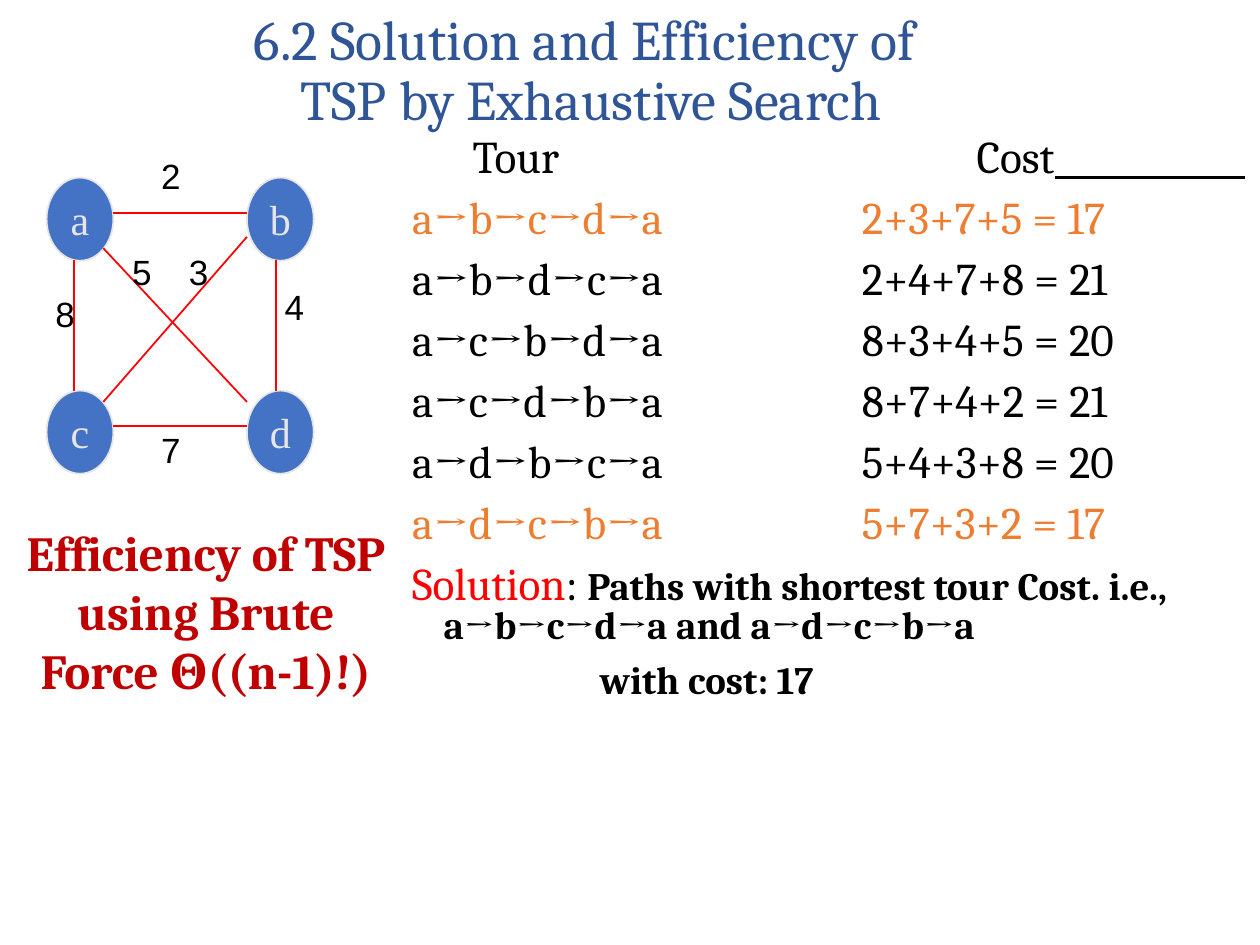
import pptx
import pptx.util
import pptx.dml.color
import pptx.enum.shapes
import pptx.enum.text
import pptx.oxml.ns
import lxml.etree

Inches = pptx.util.Inches
CENTER = pptx.enum.text.PP_ALIGN.CENTER
MIDDLE = pptx.enum.text.MSO_ANCHOR.MIDDLE
NO_FIT = pptx.enum.text.MSO_AUTO_SIZE.NONE

BLACK, RED, ORANGE = "000000", "FF0000", "ED7D31"
NODE_W, NODE_H = 0.53, 0.66
NODES = ["ab", "cd"]
NODE_X, NODE_Y = [0.37, 1.96], [1.41, 3.1]
EDGES = [
    (0.9, 1.69, 1.96, 1.69),
    (0.59, 2.06, 0.59, 3.1),
    (0.9, 3.38, 1.96, 3.38),
    (2.19, 2.06, 2.19, 3.1),
    (0.82, 1.97, 1.96, 3.19),
    (1.96, 1.88, 0.82, 3.19),
]
WEIGHTS = [
    ("8", 0.34, 2.27), ("2", 1.18, 1.18), ("7", 1.18, 3.35),
    ("5", 0.95, 1.94), ("3", 1.4, 1.94), ("4", 2.16, 2.22),
]
TOURS = [
    ("a→b→c→d→a", "2+3+7+5 = 17", ORANGE),
    ("a→b→d→c→a", "2+4+7+8 = 21", BLACK),
    ("a→c→b→d→a", "8+3+4+5 = 20", BLACK),
    ("a→c→d→b→a", "8+7+4+2 = 21", BLACK),
    ("a→d→b→c→a", "5+4+3+8 = 20", BLACK),
    ("a→d→c→b→a", "5+7+3+2 = 17", ORANGE),
]


def rgb(color):
    return pptx.dml.color.RGBColor.from_string(color)


def add_text(p, text, size=25.9, font="Cambria", color=BLACK, bold=False):
    """Add runs to a paragraph; a newline becomes a line break."""
    for i, line in enumerate(text.split("\n")):
        if i:
            p.add_line_break()
        r = p.add_run()
        r.text = line
        r.font.size = pptx.util.Pt(size)
        r.font.name = font
        r.font.bold = bold
        r.font.color.rgb = rgb(color)


def place(s, x, y, w, h):
    s.left, s.top, s.width, s.height = map(Inches, (x, y, w, h))


def add_child(parent, tag):
    return lxml.etree.SubElement(parent, pptx.oxml.ns.qn(tag))


def add_body_paragraph(tf, left=0, hanging=0):
    """Start an unbulleted paragraph with indents in inches."""
    first = not tf.text
    p = tf.paragraphs[0] if first else tf.add_paragraph()
    pPr = p._p.get_or_add_pPr()
    pPr.set("marL", str(Inches(left)))
    pPr.set("indent", str(-Inches(hanging)))
    add_child(pPr, "a:buNone")
    p.line_spacing = 0.8
    p.space_before = pptx.util.Pt(0 if first else 10)
    return p


def fill_title(s):
    place(s, 0.15, 0.2, 9.08, 0.75)
    tf = s.text_frame
    tf.auto_size = NO_FIT
    tf.vertical_anchor = MIDDLE
    p = tf.paragraphs[0]
    p.alignment = CENTER
    p.line_spacing = 0.9
    add_text(p, "6.2 Solution and Efficiency of \nTSP by Exhaustive Search", size=32, color="2F5597")


def fill_column(s, heading, heading_left, rows):
    tf = s.text_frame
    tf.auto_size = NO_FIT
    add_text(add_body_paragraph(tf, left=heading_left), heading)
    for text, color in rows:
        add_text(add_body_paragraph(tf), text, color=color)


def add_solution(tf):
    p = add_body_paragraph(tf, left=0.25, hanging=0.25)
    add_text(p, "Solution", color=RED)
    add_text(p, ": ")
    add_text(p, "Paths with shortest tour Cost. i.e.,\na→b→c→d→a and a→d→c→b→a", size=22.2, bold=True)
    p = add_body_paragraph(tf, left=1.49)
    add_text(p, "with cost: 17", size=22.2, bold=True)


def add_label(slide, text, x, y, w, h, wrap=False, **style):
    s = slide.shapes.add_textbox(*map(Inches, (x, y, w, h)))
    s.text_frame.word_wrap = wrap
    p = s.text_frame.paragraphs[0]
    p.alignment = CENTER
    add_text(p, text, **style)


def add_node(slide, name, x, y):
    s = slide.shapes.add_shape(pptx.enum.shapes.MSO_SHAPE.OVAL,
                               *map(Inches, (x, y, NODE_W, NODE_H)))
    s.shadow.inherit = False
    s.fill.solid()
    s.fill.fore_color.rgb = rgb("4472C4")
    s.line.color.rgb = rgb("E7E6E6")
    s.line.width = pptx.util.Pt(1)
    tf = s.text_frame
    tf.word_wrap = False
    tf.vertical_anchor = MIDDLE
    p = tf.paragraphs[0]
    p.alignment = CENTER
    add_text(p, name, size=24, font="Times New Roman", color="E7E6E6")


def add_line(slide, *ends, color=RED, width=1):
    s = slide.shapes.add_connector(pptx.enum.shapes.MSO_CONNECTOR.STRAIGHT, *map(Inches, ends))
    s.line.color.rgb = rgb(color)
    s.line.width = pptx.util.Pt(width)
    add_child(s._element.spPr, "a:effectLst")


def add_graph(slide):
    for names, y in zip(NODES, NODE_Y):
        for name, x in zip(names, NODE_X):
            add_node(slide, name, x, y)
    for edge in EDGES:
        add_line(slide, *edge)
    for weight, x, y in WEIGHTS:
        add_label(slide, weight, x, y, 0.35, 0.44, size=20, font="Arial")


def main():
    prs = pptx.Presentation()
    prs.slide_width, prs.slide_height = Inches(10), Inches(7.5)
    slide = prs.slides.add_slide(prs.slide_layouts[3])
    fill_title(slide.shapes.title)
    tours, costs = slide.placeholders[1], slide.placeholders[2]
    place(tours, 3.17, 1.05, 6.97, 6.11)
    place(costs, 6.74, 1.05, 3.26, 3.4)
    fill_column(tours, "Tour", 0.48, [(tour, color) for tour, _, color in TOURS])
    fill_column(costs, "Cost", 0.91, [(cost, color) for _, cost, color in TOURS])
    add_solution(tours.text_frame)
    add_line(slide, 8.37, 1.41, 9.88, 1.41, color=BLACK, width=1.5)
    add_label(slide, "Efficiency of TSP using Brute Force Θ((n-1)!)",
              0.1, 4.1, 3.07, 1.5, wrap=True, size=28, color="C00000", bold=True)
    add_graph(slide)
    prs.save("out.pptx")


if __name__ == "__main__":
    main()
